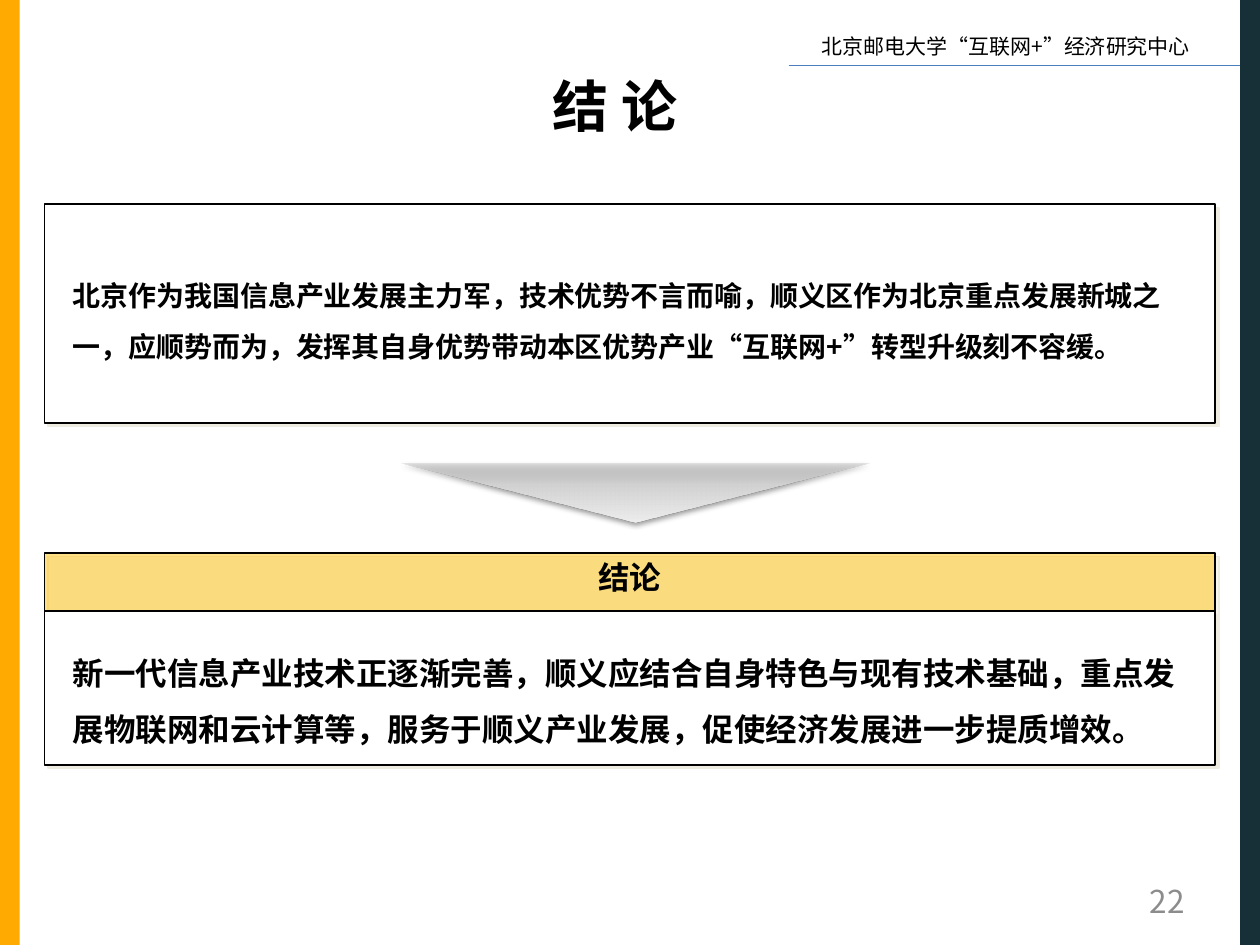
from lxml.etree import SubElement
from pptx import Presentation
from pptx.dml.color import RGBColor
from pptx.enum.shapes import MSO_CONNECTOR, MSO_SHAPE
from pptx.enum.text import MSO_ANCHOR, PP_ALIGN
from pptx.oxml.ns import qn
from pptx.util import Cm, Pt

FONT = "Noto Sans CJK SC"
HUES = {
    "amber": "FFAA00", "navy": "172F37", "gold": "FFC000", "blue": "4B7EBC",
    "white": "FFFFFF", "black": "000000", "gray": "8C8C8C", "cream": "EEECE1",
    "dark": "BDBDBD", "mid": "D1D1D1", "light": "EEEEEE",
}

deck = Presentation()
deck.slide_width, deck.slide_height = Cm(25.4), Cm(19.05)
slide = deck.slides.add_slide(deck.slide_layouts[6])


def add_text(text, left, top, width, height, size=18, bold=False, hue="black",
             align=PP_ALIGN.LEFT, anchor=MSO_ANCHOR.TOP, space=1.0):
    box = slide.shapes.add_textbox(Cm(left), Cm(top), Cm(width), Cm(height))
    frame = box.text_frame
    frame.word_wrap = True
    frame.vertical_anchor = anchor
    para = frame.paragraphs[0]
    para.alignment = align
    para.line_spacing = space
    run = para.add_run()
    run.text = text
    font = run.font
    font.size, font.bold, font.name = Pt(size), bold, FONT
    font.color.rgb = RGBColor.from_string(HUES[hue])
    face = SubElement(font._element, qn("a:ea"))
    face.set("typeface", FONT)


def add_shade(shape, hue, alpha, blur, dist, angle):
    shape.shadow.inherit = False
    effects = shape.element.spPr.find(qn("a:effectLst"))
    shade = SubElement(effects, qn("a:outerShdw"), blurRad=str(Pt(blur)),
                       dist=str(Pt(dist)), dir=str(angle * 60000),
                       algn="ctr", rotWithShape="0")
    color = SubElement(shade, qn("a:srgbClr"), val=HUES[hue])
    SubElement(color, qn("a:alpha"), val=str(alpha * 1000))


for left, hue in ((0, "amber"), (25, "navy")):
    bar = slide.shapes.add_shape(MSO_SHAPE.RECTANGLE, Cm(left), 0, Cm(0.4), Cm(19.05))
    bar.shadow.inherit = False
    bar.fill.solid()
    bar.fill.fore_color.rgb = RGBColor.from_string(HUES[hue])
    bar.line.fill.background()

add_text("北京邮电大学“互联网+”经济研究中心", 16.31, 0.56, 8.2, 0.77, size=12)
rule = slide.shapes.add_connector(MSO_CONNECTOR.STRAIGHT, Cm(15.9), Cm(1.32), Cm(25), Cm(1.32))
rule.line.width = Pt(0.75)
rule.line.color.rgb = RGBColor.from_string(HUES["blue"])
SubElement(rule.element.spPr, qn("a:effectLst"))

add_text("22", 18.2, 17.65, 5.93, 1.02, hue="gray",
         align=PP_ALIGN.RIGHT, anchor=MSO_ANCHOR.MIDDLE)

for top, height, hue, alpha in ((11.15, 1.22, "gold", 48),
                                (12.32, 3.1, "white", 100),
                                (4.12, 4.41, "white", 100)):
    panel = slide.shapes.add_shape(MSO_SHAPE.RECTANGLE, Cm(0.9), Cm(top), Cm(23.6), Cm(height))
    panel.fill.solid()
    panel.fill.fore_color.rgb = RGBColor.from_string(HUES[hue])
    if alpha < 100:
        color = panel.element.spPr.find(qn("a:solidFill"))[0]
        SubElement(color, qn("a:alpha"), val=str(alpha * 1000))
    panel.line.width = Pt(1)
    panel.line.color.rgb = RGBColor.from_string(HUES["black"])
    add_shade(panel, "cream", 100, 0, 2.8, 45)

arrow = slide.shapes.add_shape(MSO_SHAPE.ISOSCELES_TRIANGLE, Cm(8.1), Cm(9.34), Cm(9.42), Cm(1.2))
arrow.rotation = 180
arrow.line.fill.background()
arrow.fill.gradient()
arrow.fill.gradient_angle = 90
stops = arrow.element.spPr.find(qn("a:gradFill")).find(qn("a:gsLst"))
for stop in list(stops):
    stops.remove(stop)
for place, hue, alpha in ((0, "dark", 46), (35, "mid", 100), (100, "light", 100)):
    stop = SubElement(stops, qn("a:gs"), pos=str(place * 1000))
    color = SubElement(stop, qn("a:srgbClr"), val=HUES[hue])
    if alpha < 100:
        SubElement(color, qn("a:alpha"), val=str(alpha * 1000))
add_shade(arrow, "black", 38, 3.1, 1.6, 90)

add_text("新一代信息产业技术正逐渐完善，顺义应结合自身特色与现有技术基础，重点发展物联网和云计算等，"
         "服务于顺义产业发展，促使经济发展进一步提质增效。",
         1.22, 12.67, 22.96, 2.4, bold=True, space=1.5)
add_text("北京作为我国信息产业发展主力军，技术优势不言而喻，顺义区作为北京重点发展新城之一，"
         "应顺势而为，发挥其自身优势带动本区优势产业“互联网+”转型升级刻不容缓。",
         1.22, 5.16, 22.96, 2.4, size=16, bold=True, space=1.5)
add_text("结 论", 7.7, 1.32, 9.4, 1.62, size=32, bold=True, align=PP_ALIGN.CENTER)
add_text("结论", 7.7, 11.13, 10, 1.02, bold=True, align=PP_ALIGN.CENTER)

deck.save("out.pptx")
